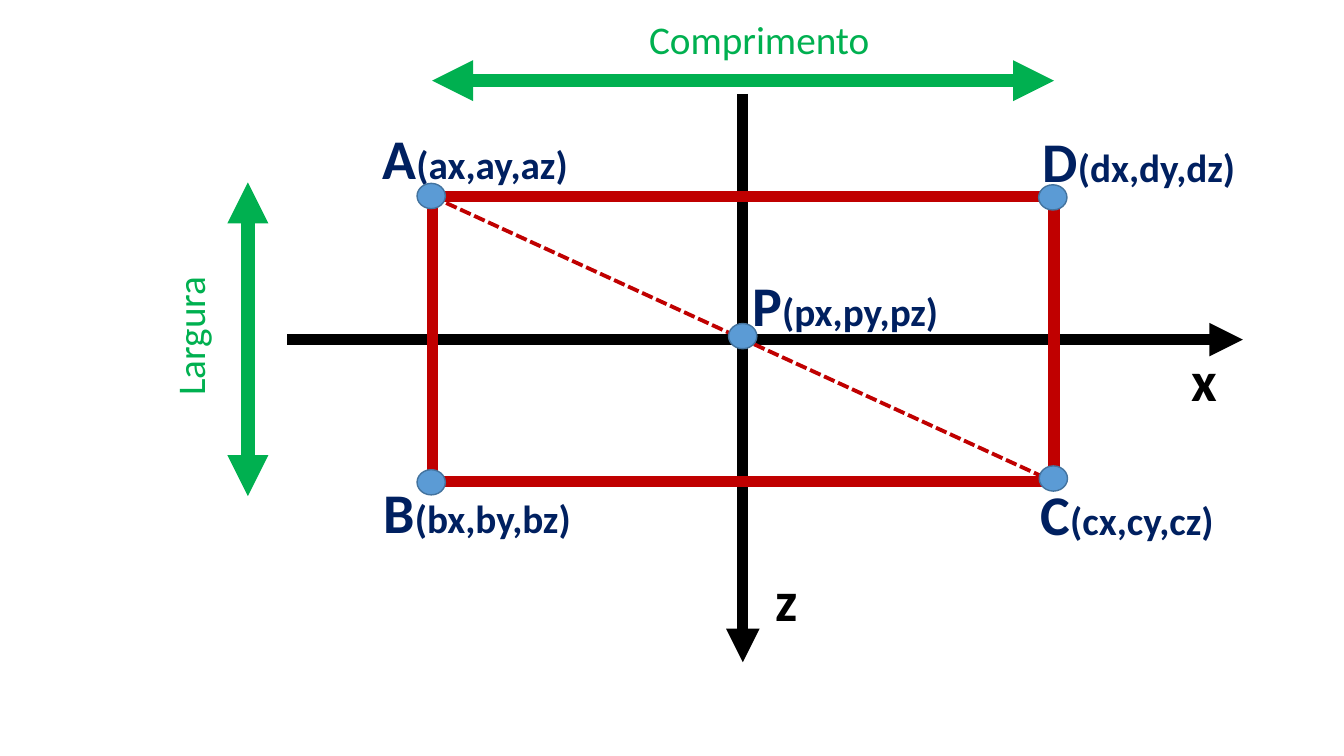
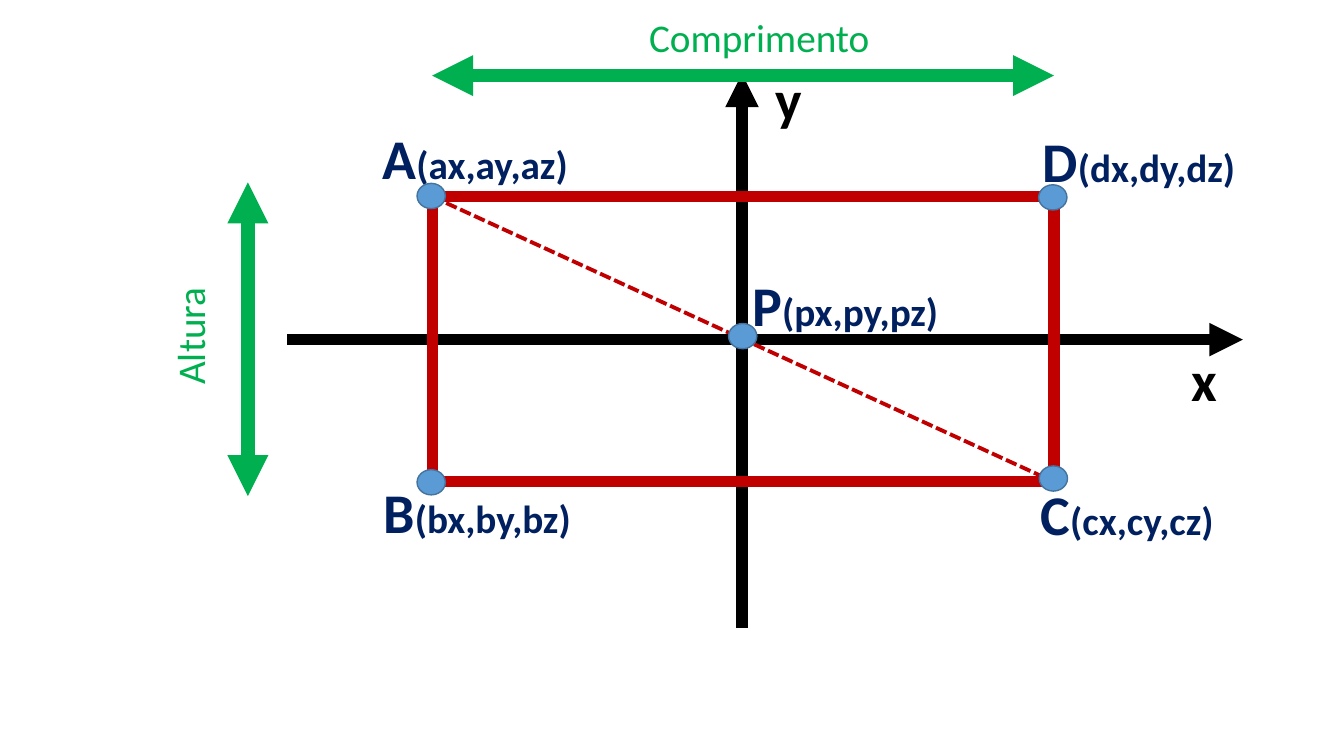
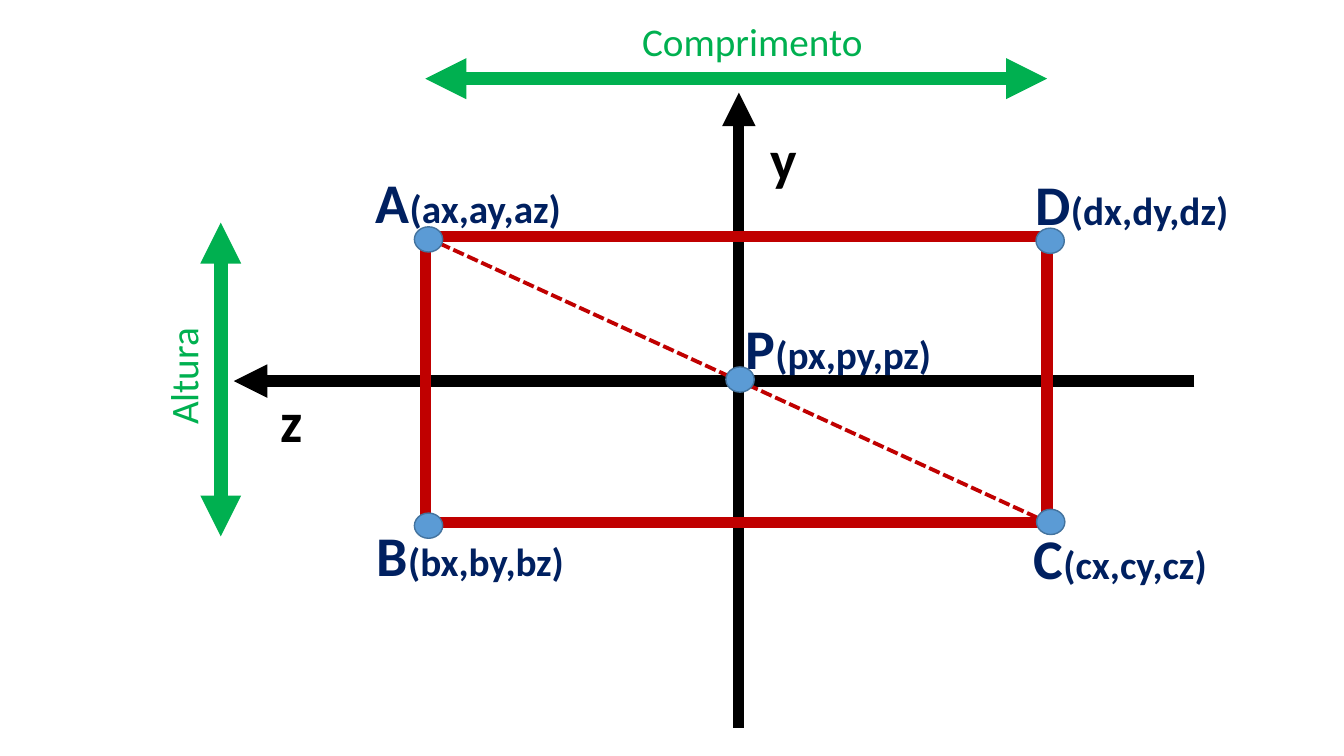
import pptx
import pptx.dml.color
import pptx.enum.dml
import pptx.enum.shapes
import pptx.enum.text
import pptx.oxml.ns
import pptx.util
from lxml import etree

Pt = pptx.util.Pt
RGB = pptx.dml.color.RGBColor
SHAPE = pptx.enum.shapes.MSO_SHAPE
ALIGN = pptx.enum.text.PP_ALIGN
qn = pptx.oxml.ns.qn

BLACK = RGB(0x00, 0x00, 0x00)
RED = RGB(0xC0, 0x00, 0x00)
GREEN = RGB(0x00, 0xB0, 0x50)
NAVY = RGB(0x00, 0x20, 0x60)
BLUE = RGB(0x5B, 0x9B, 0xD5)
BLUE_EDGE = RGB(0x43, 0x73, 0x9E)

FONT = "Calibri"
BIG, SMALL = 40, 28
LABEL_W, LABEL_H = 222.5, 55.5
CAPTION_H = 41
DOT_W, DOT_H = 20.2, 18
RECT_W, RECT_H = 444.2, 203.8

# Name, label corner and dot centre, all from the rectangle's top left corner
POINTS = [
    ("A", (-42.5, -55.4), (-0.7, -0.4)),
    ("B", (-41.8, 196.8), (-0.7, 204.1)),
    ("C", (427.5, 198.6), (443.7, 201.4)),
    ("D", (428.9, -53.8), (443.3, 0.6)),
    ("P", (221.7, 49), (221.8, 99.7)),
]


def add_line(s, start, end, color, width, head=False, tail=False, dash=None):
    """Draw a straight line, with triangle arrowheads where asked."""
    c = s.shapes.add_connector(pptx.enum.shapes.MSO_CONNECTOR.STRAIGHT,
                               *map(Pt, start + end))
    c.line.color.rgb = color
    c.line.width = Pt(width)
    if dash:
        c.line.dash_style = dash
    ln = c.line._get_or_add_ln()
    for tag, wanted in (("a:headEnd", head), ("a:tailEnd", tail)):
        if wanted:
            etree.SubElement(ln, qn(tag)).set("type", "triangle")
    etree.SubElement(c._element.spPr, qn("a:effectLst"))


def add_text(s, box, runs, color, bold=False, align=ALIGN.LEFT, rotation=0):
    """Add one paragraph made of (text, size) runs."""
    sp = s.shapes.add_textbox(*map(Pt, box))
    sp.rotation = rotation
    tf = sp.text_frame
    tf.word_wrap = True
    tf.auto_size = pptx.enum.text.MSO_AUTO_SIZE.SHAPE_TO_FIT_TEXT
    p = tf.paragraphs[0]
    p.alignment = align
    for text, size in runs:
        r = p.add_run()
        r.text = text
        r.font.name = FONT
        r.font.size = Pt(size)
        r.font.bold = bold
        r.font.color.rgb = color


def add_shape(s, kind, box, edge, width, fill=None):
    """Add a flat outlined shape, filled when a colour is given."""
    sp = s.shapes.add_shape(kind, *map(Pt, box))
    sp.shadow.inherit = False
    sp.line.color.rgb = edge
    sp.line.width = Pt(width)
    if fill is None:
        sp.fill.background()
    else:
        sp.fill.solid()
        sp.fill.fore_color.rgb = fill


def draw_axis(s, start, end, name, corner):
    """Draw a coordinate axis; its name stands at the given corner."""
    add_line(s, start, end, BLACK, 8, tail=True)
    add_text(s, (*corner, 42.5, LABEL_H), [(name, BIG)], BLACK, bold=True)


def draw_rectangle(s, left, top):
    """Draw the rectangle and its dashed diagonal."""
    add_shape(s, SHAPE.RECTANGLE, (left, top, RECT_W, RECT_H), RED, 8)
    add_line(s, (left, top), (left + RECT_W, top + RECT_H), RED, 2.75,
             dash=pptx.enum.dml.MSO_LINE.SQUARE_DOT)


def draw_dimensions(s, left, top, side, side_x, length_y, caption_y):
    """Draw the double arrows above and beside the rectangle, with captions."""
    add_line(s, (left, length_y), (left + RECT_W, length_y), GREEN, 9.75, True, True)
    add_text(s, (left + 11.5, caption_y, RECT_W, CAPTION_H),
             [("Comprimento", SMALL)], GREEN, align=ALIGN.CENTER)
    add_line(s, (side_x, top - 10.1), (side_x, top + 214), GREEN, 9.75, True, True)
    add_text(s, (left - 272.9, top + 79.2, 199.4, CAPTION_H),
             [(side, SMALL)], GREEN, align=ALIGN.CENTER, rotation=270)


def draw_points(s, left, top, label_drop, dot_shift):
    """Label the corners and the centre, then set the dots on top."""
    for name, (x, y), _ in POINTS:
        coords = ",".join(name.lower() + axis for axis in "xyz")
        add_text(s, (left + x, top + y + label_drop, LABEL_W, LABEL_H),
                 [(name, BIG), (f"({coords})", SMALL)], NAVY, bold=True)
    dx, dy = dot_shift
    for _, _, (x, y) in POINTS:
        box = (left + x + dx - DOT_W / 2, top + y + dy - DOT_H / 2, DOT_W, DOT_H)
        add_shape(s, SHAPE.OVAL, box, BLUE_EDGE, 1, BLUE)


def plane_slide(prs, corner, axes, dimensions, label_drop=0, dot_shift=(0, 0)):
    """Build a slide showing the rectangle in one coordinate plane."""
    s = prs.slides.add_slide(prs.slide_layouts[6])
    for axis in axes:
        draw_axis(s, *axis)
    draw_rectangle(s, *corner)
    draw_dimensions(s, *corner, *dimensions)
    draw_points(s, *corner, label_drop, dot_shift)


prs = pptx.Presentation()
prs.slide_width, prs.slide_height = Pt(960), Pt(540)

CORNER = (308.7, 140.4)
X_AXIS = ((205.2, 242.6), (887.8, 242.6), "x", (843.8, 243.4))

plane_slide(prs, CORNER,
            [((530.6, 67), (530.6, 473), "z", (546.5, 400.3)), X_AXIS],
            ("Largura", 177.1, 57.6, 7.2))
plane_slide(prs, CORNER,
            [((530, 448.6), (530, 52.6), "y", (546.5, 42.5)), X_AXIS],
            ("Altura", 177.1, 54, 5.8))
plane_slide(prs, (303.8, 169.2),
            [((527.8, 519.8), (527.8, 66.2), "y", (543.6, 85.7)),
             ((853.2, 272.2), (167, 272.2), "z", (193, 272.2))],
            ("Altura", 157.7, 56.2, 8.6), label_drop=2.4, dot_shift=(3, 2.2))

prs.save("out.pptx")
